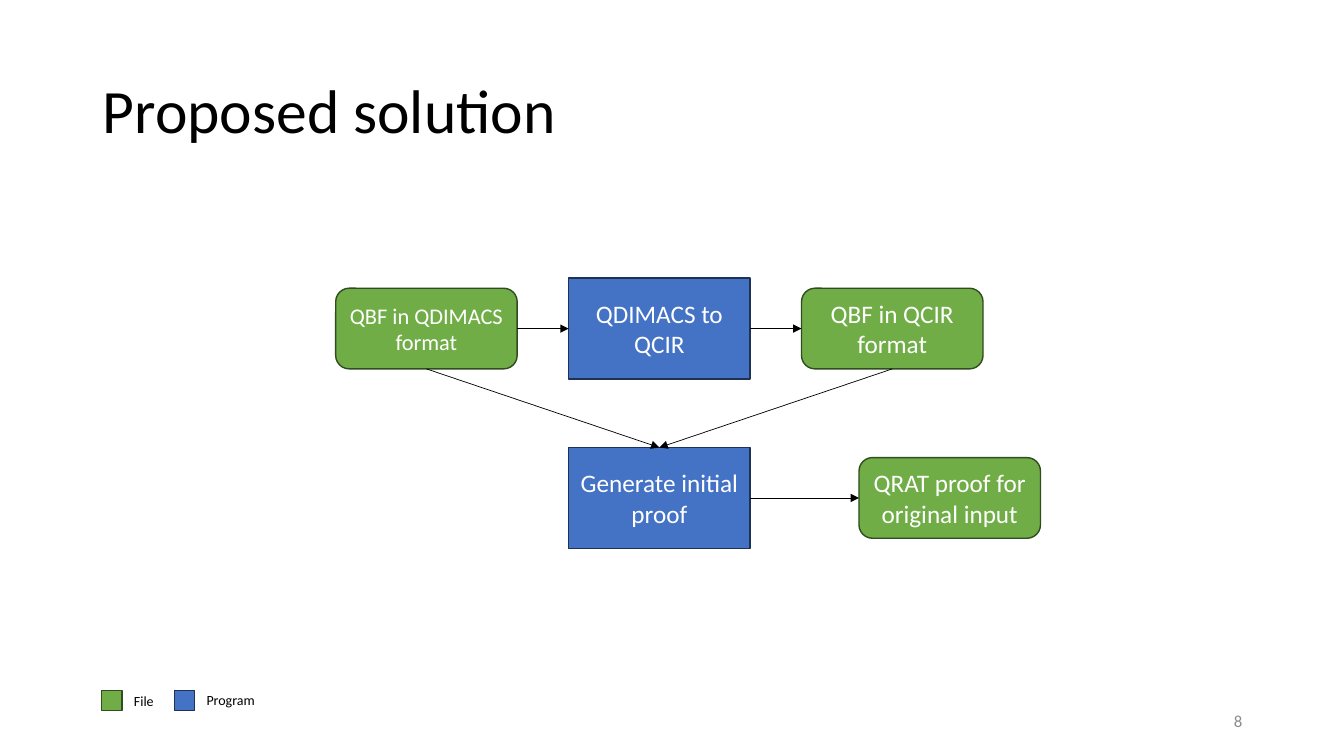
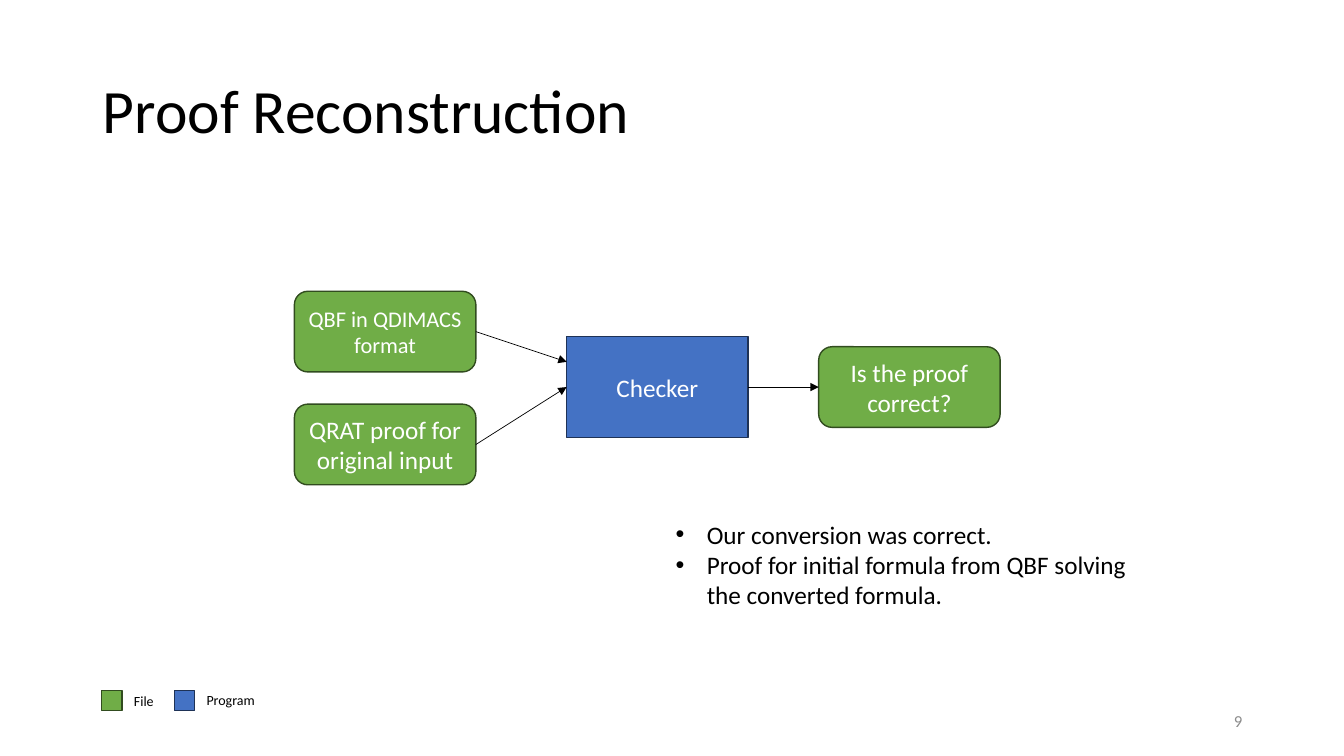
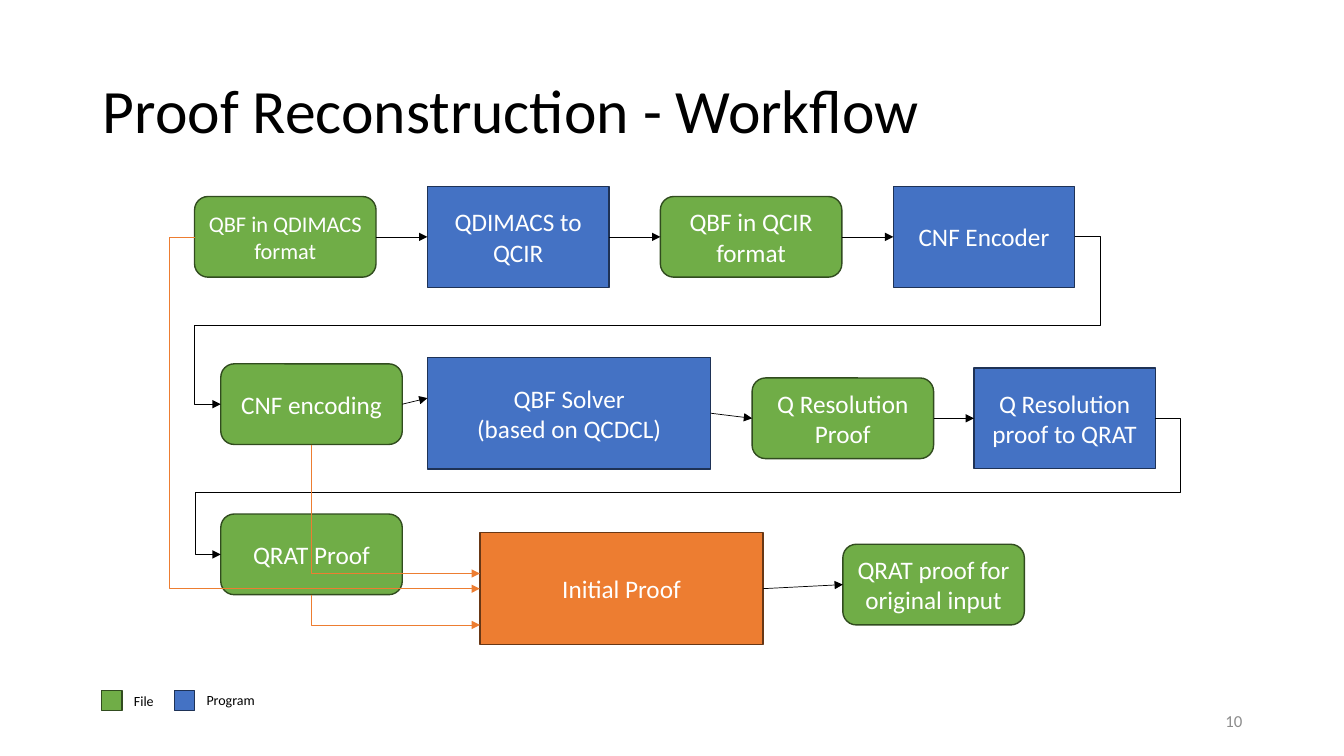
import pptx
import pptx.dml.color
import pptx.enum.shapes
import pptx.enum.text
import pptx.oxml.ns
import pptx.util
from lxml import etree

Inches = pptx.util.Inches
Pt = pptx.util.Pt
SHAPE = pptx.enum.shapes.MSO_SHAPE
LINE = pptx.enum.shapes.MSO_CONNECTOR
ALIGN = pptx.enum.text.PP_ALIGN
ANCHOR = pptx.enum.text.MSO_ANCHOR
qn = pptx.oxml.ns.qn

FONT = "Calibri"
COLORS = {
    "text": "000000", "white": "FFFFFF", "number": "8C8C8C",
    "file": "70AD47", "file_line": "314C1F",
    "program": "4472C4", "program_line": "1E3256",
    "proof": "ED7D31", "proof_line": "683715",
}
# Preset, width and height of each kind of node
NODES = {
    "file": (SHAPE.ROUNDED_RECTANGLE, 1.8, 0.8),
    "program": (SHAPE.RECTANGLE, 1.8, 1),
    "proof": (SHAPE.RECTANGLE, 2.81, 1.11),
}
TOP, LEFT, BOTTOM, RIGHT = range(4)
STEP = 2.31  # from one node of a row to the next
STUB = 0.25  # how far an elbow runs out past a node


def rgb(name):
    return pptx.dml.color.RGBColor.from_string(COLORS[name])


def side_point(sp, side):
    """Middle of one side of a shape."""
    x = sp.left + {LEFT: 0, RIGHT: sp.width}.get(side, sp.width // 2)
    y = sp.top + {TOP: 0, BOTTOM: sp.height}.get(side, sp.height // 2)
    return x, y


class Deck:
    def __init__(self):
        self.prs = pptx.Presentation()
        self.prs.slide_width = Inches(13.33)
        self.prs.slide_height = Inches(7.5)
        self.s = None

    # Slide frame: title, number and legend
    def slide(self, title, number, layout=5):
        self.s = self.prs.slides.add_slide(self.prs.slide_layouts[layout])
        sp = self.s.shapes.title
        self.place(sp, 0.92, 0.4, 11.5, 1.45)
        self.add_text(sp.text_frame, [title], 44, align=ALIGN.LEFT, anchor=ANCHOR.MIDDLE)
        sp.text_frame.paragraphs[0].line_spacing = 0.9
        self.label(str(number), 9.42, 6.95, 3, 0.4, 12, "number", ALIGN.RIGHT, ANCHOR.MIDDLE)
        for kind, x, name, top, width in (("file", 1.01, "File", 6.82, 0.48),
                                          ("program", 1.73, "Program", 6.81, 1.39)):
            self.box(SHAPE.RECTANGLE, kind, x, 6.85, 0.2, 0.2)
            self.label(name, x + 0.22, top, width, 0.27, 10)

    def place(self, sp, x, y, w, h):
        sp.left, sp.top, sp.width, sp.height = map(Inches, (x, y, w, h))

    def add_text(self, tf, lines, size, color="text", align=None, anchor=ANCHOR.TOP):
        tf.word_wrap = True
        tf.auto_size = pptx.enum.text.MSO_AUTO_SIZE.NONE
        tf.vertical_anchor = anchor
        for i, line in enumerate(lines):
            p = tf.add_paragraph() if i else tf.paragraphs[0]
            p.alignment = align
            p.space_before = Pt(0)
            r = p.add_run()
            r.text = line
            r.font.name, r.font.size = FONT, Pt(size)
            r.font.color.rgb = rgb(color)

    def label(self, text, x, y, w, h, size, color="text", align=None, anchor=ANCHOR.TOP):
        sp = self.s.shapes.add_textbox(*map(Inches, (x, y, w, h)))
        self.add_text(sp.text_frame, [text], size, color, align, anchor)

    def bullets(self, lines, x, y, w, h):
        sp = self.s.placeholders[1]
        self.place(sp, x, y, w, h)
        self.add_text(sp.text_frame, lines, 18)
        for p in sp.text_frame.paragraphs:
            pPr = p._p.get_or_add_pPr()
            pPr.set("marL", str(Inches(0.31)))
            pPr.set("indent", str(-Inches(0.31)))
            etree.SubElement(pPr, qn("a:buFont")).set("typeface", "Arial")
            etree.SubElement(pPr, qn("a:buChar")).set("char", "•")

    def box(self, preset, kind, x, y, w, h):
        sp = self.s.shapes.add_shape(preset, *map(Inches, (x, y, w, h)))
        sp.shadow.inherit = False
        sp.fill.solid()
        sp.fill.fore_color.rgb = rgb(kind)
        sp.line.color.rgb = rgb(kind + "_line")
        sp.line.width = Pt(1)
        return sp

    def node(self, kind, text, x, middle, size=18, w=None, h=None):
        """A box with its text, placed by left edge and vertical middle."""
        preset, width, height = NODES[kind]
        w, h = w or width, h or height
        sp = self.box(preset, kind, x, middle - h / 2, w, h)
        self.add_text(sp.text_frame, text.split("\n"), size, "white",
                      ALIGN.CENTER, ANCHOR.MIDDLE)
        return sp

    def row(self, x, middle, items):
        """Evenly spaced nodes, each with an arrow to the next."""
        sps = [self.node(kind, text, x + i * STEP, middle, *size)
               for i, (kind, text, *size) in enumerate(items)]
        for a, b in zip(sps, sps[1:]):
            self.arrow(a, b)
        return sps

    def arrow(self, a, b, start=RIGHT, end=LEFT, drop=0, bends=(), color="text"):
        """Arrow from a to b, ending `drop` inches below the middle of b's side.

        Bends are inches from the start, by turns along the width and height.
        """
        x1, y1 = side_point(a, start)
        x2, y2 = side_point(b, end)
        y2 += Inches(drop)
        c = self.s.shapes.add_connector(LINE.ELBOW if bends else LINE.STRAIGHT, x1, y1, x2, y2)
        spPr = c._element.spPr
        if bends:
            geom = spPr.find(qn("a:prstGeom"))
            geom.set("prst", f"bentConnector{len(bends) + 2}")
            av = geom.get_or_add_avLst()
            for i, bend in enumerate(bends):
                span = abs(y2 - y1) if i % 2 else abs(x2 - x1)
                gd = etree.SubElement(av, qn("a:gd"))
                gd.set("name", f"adj{i + 1}")
                gd.set("fmla", f"val {round(Inches(bend) / span * 100000)}")
        else:
            c.begin_connect(a, start)
            if not drop:
                c.end_connect(b, end)
        c.line.color.rgb = rgb(color)
        c.line.width = Pt(0.5)
        etree.SubElement(spPr.get_or_add_ln(), qn("a:tailEnd")).set("type", "triangle")
        etree.SubElement(spPr, qn("a:effectLst"))


# Texts used on several slides
QDIMACS = ("file", "QBF in QDIMACS format", 16)
CONVERT = ("program", "QDIMACS to QCIR")
QCIR = ("file", "QBF in QCIR format")
QRAT = ("file", "QRAT proof for original input")


def proposed_solution(d):
    d.slide("Proposed solution", 8)
    qdimacs, convert, qcir = d.row(3.33, 3.26, [QDIMACS, CONVERT, QCIR])
    generate = d.node("program", "Generate initial proof", 5.64, 4.94)
    qrat = d.node(*QRAT, 8.52, 4.94)
    for source in (qdimacs, qcir):
        d.arrow(source, generate, BOTTOM, TOP)
    d.arrow(generate, qrat)


def reconstruction(d):
    d.slide("Proof Reconstruction", 9, layout=1)
    kind, text, size = QDIMACS
    qdimacs = d.node(kind, text, 2.92, 3.29, size)
    qrat = d.node(*QRAT, 2.92, 4.41)
    checker = d.node("program", "Checker", 5.62, 3.84)
    answer = d.node("file", "Is the proof correct?", 8.12, 3.84)
    d.arrow(qdimacs, checker, drop=-0.25)
    d.arrow(qrat, checker)
    d.arrow(checker, answer)
    d.bullets(["Our conversion was correct.",
               "Proof for initial formula from QBF solving the converted formula."],
              6.6, 5.1, 4.93, 1.01)


def workflow(d):
    d.slide("Proof Reconstruction - Workflow", 10)
    # Conversion and encoding
    qdimacs, _, _, encoder = d.row(1.93, 2.35, [QDIMACS, CONVERT, QCIR,
                                                ("program", "CNF Encoder")])
    # Solving
    encoding = d.node("file", "CNF encoding", 2.19, 4.01)
    solver = d.node("program", "QBF Solver\n(based on QCDCL)", 4.24, 4.1, w=2.81, h=1.11)
    resolution = d.node("file", "Q Resolution Proof", 7.46, 4.15)
    to_qrat = d.node("program", "Q Resolution proof to QRAT", 9.66, 4.15)
    d.arrow(encoding, solver, drop=-0.15)
    d.arrow(solver, resolution)
    d.arrow(resolution, to_qrat)
    # Proof building
    proof = d.node("file", "QRAT Proof", 2.19, 5.5)
    initial = d.node("proof", "Initial Proof", 4.76, 5.84)
    qrat = d.node(*QRAT, 8.36, 5.8)
    d.arrow(initial, qrat)
    # Turns to the next row
    d.arrow(encoder, encoding, bends=(-STUB, 0.88, 8.73))
    d.arrow(to_qrat, proof, bends=(-STUB, 0.73, 9.52))
    # Inputs of the initial proof
    d.arrow(qdimacs, initial, LEFT, bends=(-STUB,), color="proof")
    d.arrow(encoding, initial, BOTTOM, drop=-0.15, bends=(0,), color="proof")
    d.arrow(proof, initial, BOTTOM, drop=0.36, bends=(0,), color="proof")


def main():
    d = Deck()
    proposed_solution(d)
    reconstruction(d)
    workflow(d)
    d.prs.save("out.pptx")


if __name__ == "__main__":
    main()
